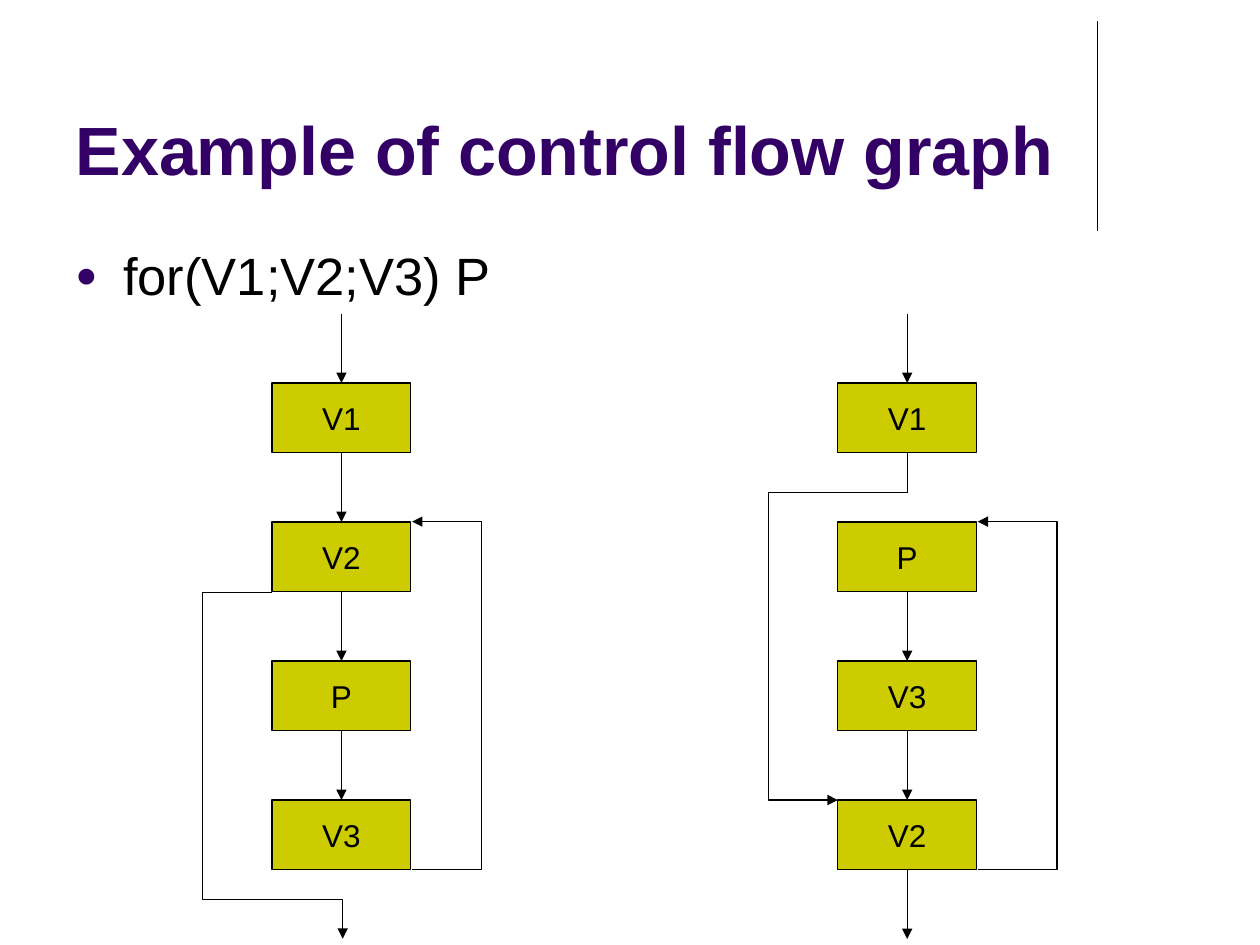
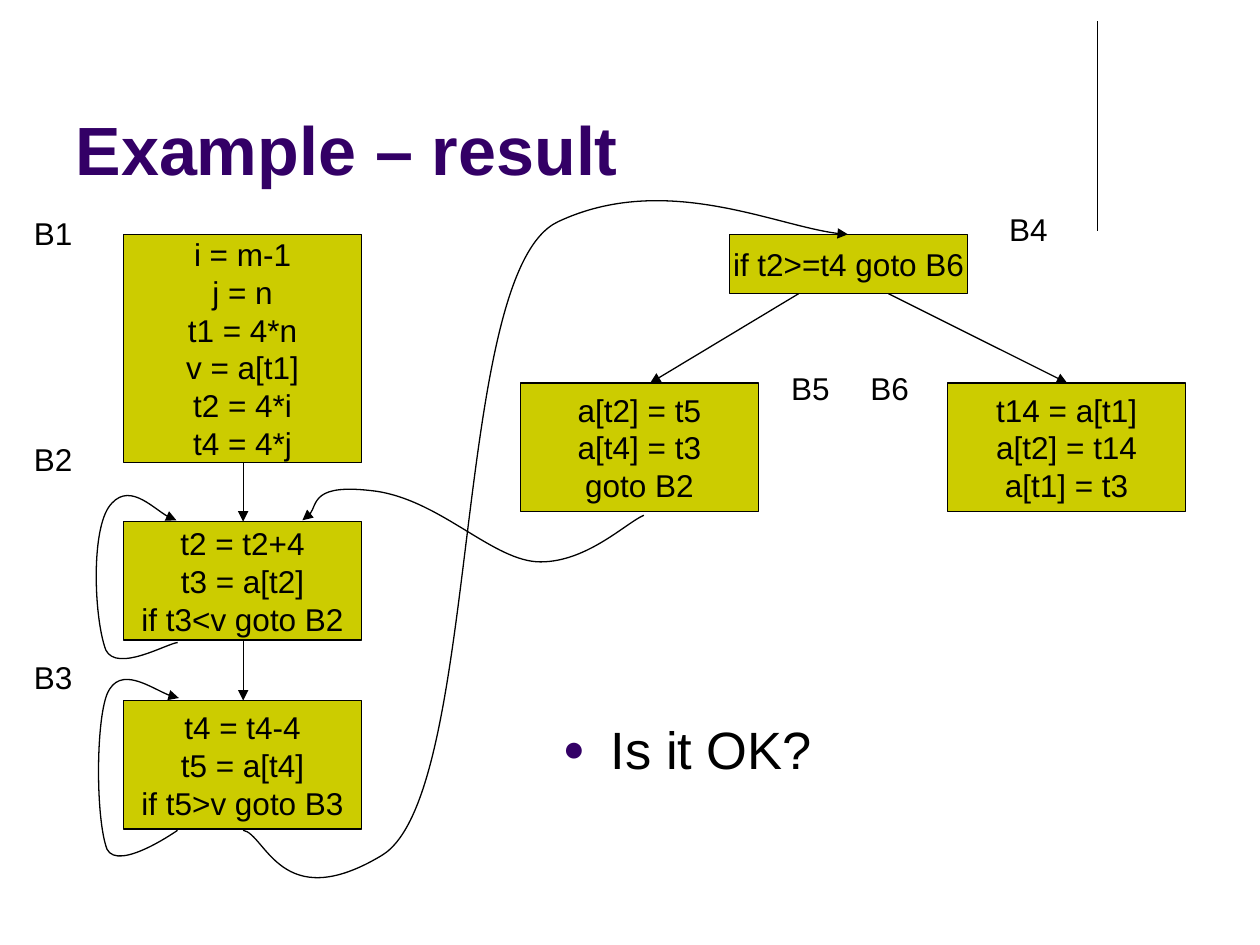
from dataclasses import dataclass

from pptx import Presentation
from pptx.dml.color import RGBColor
from pptx.enum import shapes, text
from pptx.oxml.ns import qn
from pptx.util import Inches, Pt
from lxml import etree

PURPLE = RGBColor(0x33, 0x00, 0x66)
OLIVE = RGBColor(0xCC, 0xCC, 0x00)
BLACK = RGBColor(0x00, 0x00, 0x00)
FONT = "Arial"
LINE_WIDTH = Pt(0.75)

# Flow graph grid: four rows of boxes, evenly spaced
ROW_TOP, ROW_LAST = 3.04, 6.35
ROW_PITCH = (ROW_LAST - ROW_TOP) / 3
NODE_W, NODE_H = 1.1, 0.55
BLOCK_W = 1.89

Point = tuple[float, float]


@dataclass
class FlowColumn:
    left: float
    nodes: list[str]
    arrow_rows: list[int]  # rows that a downward arrow enters
    loops: list[list[Point]]


@dataclass
class Block:
    left: float
    top: float
    height: float
    code: str
    label: str
    label_at: Point


FLOW_COLUMNS = [
    FlowColumn(2.16, ["V1", "V2", "P", "V3"], [0, 1, 2, 3], [
        [(3.27, 6.9), (3.82, 6.9), (3.82, 4.14), (3.27, 4.14)],
        [(2.16, 4.7), (1.61, 4.7), (1.61, 7.14), (2.72, 7.14), (2.72, 7.45)],
    ]),
    FlowColumn(6.65, ["V1", "P", "V3", "V2"], [0, 2, 3, 4], [
        [(7.76, 6.9), (8.39, 6.9), (8.39, 4.14), (7.76, 4.14)],
        [(7.2, 3.59), (7.2, 3.91), (6.1, 3.91), (6.1, 6.35), (6.65, 6.35)],
    ]),
]

BLOCKS = [
    Block(0.98, 1.86, 1.81,
          "i = m-1\nj = n\nt1 = 4*n\nv = a[t1]\nt2 = 4*i\nt4 = 4*j",
          "B1", (0.17, 1.65)),
    Block(0.98, 4.14, 0.94, "t2 = t2+4\nt3 = a[t2]\nif t3<v goto B2",
          "B2", (0.17, 3.44)),
    Block(0.98, 5.56, 1.02, "t4 = t4-4\nt5 = a[t4]\nif t5>v goto B3",
          "B3", (0.17, 5.17)),
    Block(5.79, 1.86, 0.47, "if t2>=t4 goto B6", "B4", (7.91, 1.62)),
    Block(4.13, 3.04, 1.02, "a[t2] = t5\na[t4] = t3\ngoto B2",
          "B5", (6.18, 2.88)),
    Block(7.52, 3.04, 1.02, "t14 = a[t1]\na[t2] = t14\na[t1] = t3",
          "B6", (6.81, 2.88)),
]

BLOCK_ARROWS = [
    ((6.34, 2.33), (5.16, 3.04)),
    ((7.05, 2.33), (8.47, 3.04)),
    ((1.93, 3.67), (1.93, 4.14)),
    ((1.93, 5.09), (1.93, 5.56)),
]

# Each jump: a start point, then two control points and an end per curve
JUMPS = [
    # B5 to B2
    [(5.11, 4.09), (4.97, 4.15), (4.66, 4.46), (4.29, 4.46),
     (3.92, 4.46), (3.51, 3.98), (2.99, 3.9),
     (2.47, 3.83), (2.52, 4.09), (2.4, 4.13)],
    # B2 to itself
    [(1.41, 5.1), (1.32, 5.11), (0.93, 5.34), (0.84, 5.16),
     (0.75, 4.92), (0.72, 4.25), (0.86, 4.03),
     (1.01, 3.81), (1.29, 4.11), (1.4, 4.13)],
    # B3 to itself
    [(1.41, 6.59), (1.41, 6.59), (0.94, 6.92), (0.85, 6.74),
     (0.76, 6.5), (0.76, 5.74), (0.85, 5.51),
     (0.95, 5.27), (1.3, 5.53), (1.42, 5.54)],
    # B3 to B4
    [(1.93, 6.59), (2.11, 6.62), (2.23, 7.27), (3.03, 6.79),
     (3.83, 6.31), (3.57, 2.16), (4.43, 1.76),
     (5.28, 1.36), (6.25, 1.84), (6.73, 1.86)],
]


def set_font(p, size: float, color: RGBColor = BLACK, bold: bool = False) -> None:
    p.font.name, p.font.size, p.font.bold = FONT, Pt(size), bold
    p.font.color.rgb = color


def style_line(sp, arrow: bool) -> None:
    sp.line.color.rgb = BLACK
    sp.line.width = LINE_WIDTH
    if arrow:
        ln = sp._element.spPr.find(qn("a:ln"))
        etree.SubElement(ln, qn("a:tailEnd"), type="triangle")


def add_line(slide, start: Point, end: Point, arrow: bool = True) -> None:
    sp = slide.shapes.add_connector(
        shapes.MSO_CONNECTOR.STRAIGHT, *map(Inches, start + end))
    style_line(sp, arrow)
    etree.SubElement(sp._element.spPr, qn("a:effectLst"))


def add_route(slide, points: list[Point], curved: bool = False) -> None:
    """Draw an open arrow through the points, as lines or as Bezier curves."""
    (x, y), *rest = [(Inches(px), Inches(py)) for px, py in points]
    builder = slide.shapes.build_freeform(x, y)
    builder.add_line_segments(rest, close=False)
    sp = builder.convert_to_shape()
    sp.shadow.inherit = False
    sp.fill.background()
    style_line(sp, arrow=True)
    if curved:
        segments = list(sp._element.iter(qn("a:lnTo")))
        for i in range(0, len(segments), 3):
            curve = etree.Element(qn("a:cubicBezTo"))
            segments[i].addprevious(curve)
            for segment in segments[i:i + 3]:
                curve.append(segment[0])
                segment.getparent().remove(segment)


def add_box(slide, left: float, top: float, width: float, height: float,
            words: str) -> None:
    sp = slide.shapes.add_shape(
        shapes.MSO_SHAPE.RECTANGLE, *map(Inches, (left, top, width, height)))
    sp.shadow.inherit = False
    sp.fill.solid()
    sp.fill.fore_color.rgb = OLIVE
    style_line(sp, arrow=False)
    tf = sp.text_frame
    tf.word_wrap = False
    tf.vertical_anchor = text.MSO_ANCHOR.MIDDLE
    tf.text = words
    for p in tf.paragraphs:
        p.alignment = text.PP_ALIGN.CENTER
        set_font(p, 18)


def add_label(slide, at: Point, words: str) -> None:
    sp = slide.shapes.add_textbox(*map(Inches, at + (0.51, 0.4)))
    tf = sp.text_frame
    tf.word_wrap = False
    tf.auto_size = text.MSO_AUTO_SIZE.SHAPE_TO_FIT_TEXT
    tf.text = words
    set_font(tf.paragraphs[0], 18)


def add_bullet(slide, left: float, top: float, width: float, height: float,
               words: str) -> None:
    sp = slide.shapes.add_textbox(*map(Inches, (left, top, width, height)))
    tf = sp.text_frame
    tf.word_wrap = True
    tf.text = words
    p = tf.paragraphs[0]
    set_font(p, 30)
    p.space_before = Pt(3)
    pPr = p._p.get_or_add_pPr()
    pPr.set("marL", str(Inches(0.38)))
    pPr.set("indent", str(-Inches(0.38)))
    bullet = [etree.Element(qn("a:buClr")),
              etree.Element(qn("a:buSzPct"), val="70000"),
              etree.Element(qn("a:buFont"), typeface=FONT),
              etree.Element(qn("a:buChar"), char="●")]
    etree.SubElement(bullet[0], qn("a:srgbClr"), val=str(PURPLE))
    for offset, part in enumerate(bullet, start=1):
        pPr.insert(pPr.index(pPr.find(qn("a:spcBef"))) + offset, part)


def add_slide(prs, title: str):
    """Start a slide with the shared rule and title style."""
    slide = prs.slides.add_slide(prs.slide_layouts[5])
    add_line(slide, (8.71, 0.17), (8.71, 1.83), arrow=False)
    sp = slide.shapes.title
    sp.left, sp.top = Inches(0.5), Inches(0.13)
    sp.width, sp.height = Inches(8.25), Inches(1.42)
    tf = sp.text_frame
    tf.auto_size = text.MSO_AUTO_SIZE.NONE
    tf.vertical_anchor = text.MSO_ANCHOR.BOTTOM
    tf.text = title
    p = tf.paragraphs[0]
    p.alignment = text.PP_ALIGN.LEFT
    set_font(p, 39, PURPLE, bold=True)
    return slide


def build_flow_graph(prs) -> None:
    slide = add_slide(prs, "Example of control flow graph")
    add_bullet(slide, 0.5, 1.88, 9, 0.61, "for(V1;V2;V3) P")
    for column in FLOW_COLUMNS:
        for row, node in enumerate(column.nodes):
            add_box(slide, column.left, ROW_TOP + row * ROW_PITCH,
                    NODE_W, NODE_H, node)
        center = column.left + NODE_W / 2
        for row in column.arrow_rows:
            tip = ROW_TOP + row * ROW_PITCH
            add_line(slide, (center, tip - NODE_H), (center, tip))
        for loop in column.loops:
            add_route(slide, loop)


def build_result(prs) -> None:
    slide = add_slide(prs, "Example – result")
    for block in BLOCKS:
        add_box(slide, block.left, block.top, BLOCK_W, block.height, block.code)
        add_label(slide, block.label_at, block.label)
    for start, end in BLOCK_ARROWS:
        add_line(slide, start, end)
    for jump in JUMPS:
        add_route(slide, jump, curved=True)
    add_bullet(slide, 4.37, 5.64, 5.13, 0.79, "Is it OK?")


def main() -> None:
    prs = Presentation()
    prs.slide_width, prs.slide_height = Inches(10), Inches(7.5)
    build_flow_graph(prs)
    build_result(prs)
    prs.save("out.pptx")


if __name__ == "__main__":
    main()
